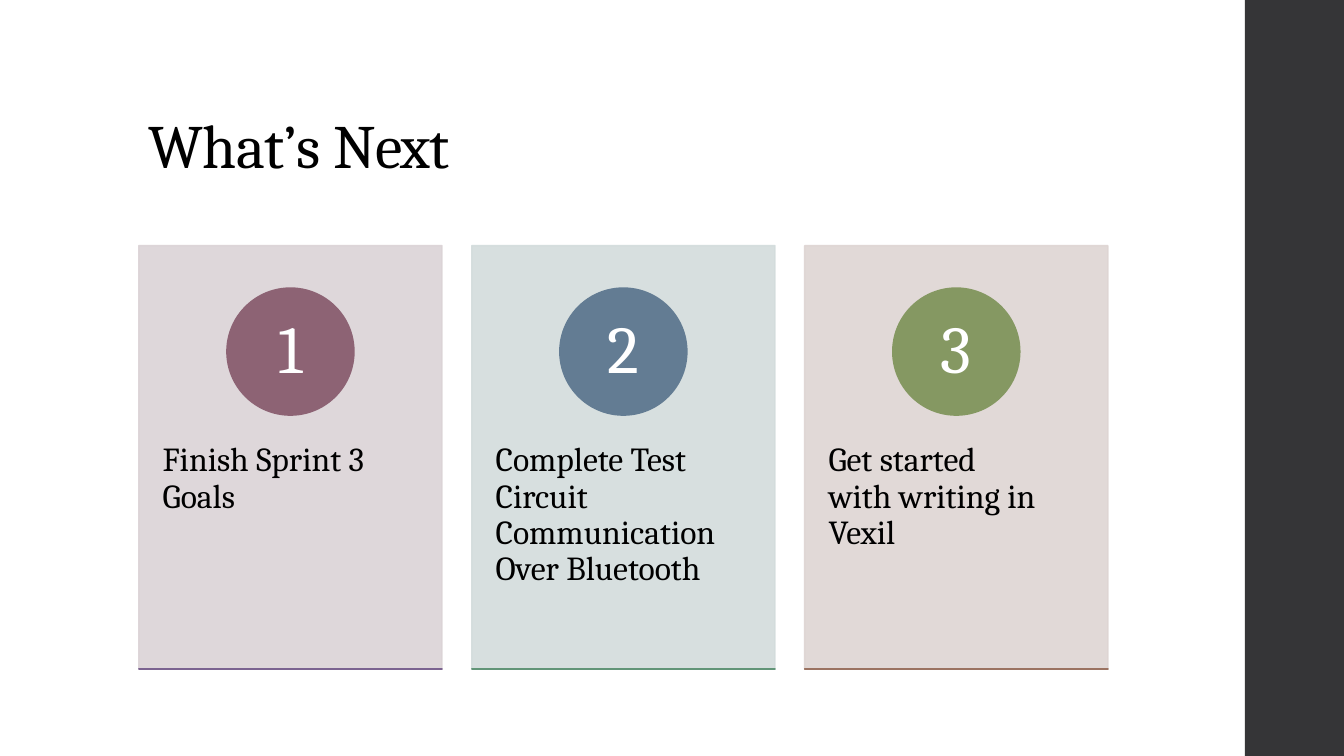
from lxml.etree import SubElement
from pptx import Presentation
from pptx.dml.color import RGBColor
from pptx.enum.shapes import MSO_SHAPE as Shape
from pptx.enum.text import MSO_ANCHOR as Anchor, PP_ALIGN as Align
from pptx.oxml.ns import qn
from pptx.util import Cm, Pt

SLIDE_WIDTH, SLIDE_HEIGHT = 33.87, 19.05
FONT = "Cambria"
LINE_WIDTH = 1.1
HARD_SPACE = chr(160)
CARD_LEFT, CARD_TOP, CARD_WIDTH, CARD_HEIGHT = 3.5, 6.19, 7.64, 10.67
CARD_PITCH = 8.39
STEPS = [
    ("Finish Sprint 3 Goals", "DBD3D6", "8D6374", "7B6390"),
    ("Complete Test Circuit Communication Over Bluetooth", "D3DCDC", "637C93", "629578"),
    (f"Get started with{HARD_SPACE}writing in Vexil", "DED5D3", "859862", "9B7362"),
]


def color(hex_code):
    """Return the colour for a hex string."""
    return RGBColor.from_string(hex_code)


def write(frame, text, size, ink="000000", align=Align.LEFT, anchor=Anchor.TOP,
          insets=(0.25, 0.13), tracking=0):
    """Fill a text frame with one formatted paragraph."""
    frame.word_wrap = True
    frame.vertical_anchor = anchor
    frame.margin_left = frame.margin_right = Cm(insets[0])
    frame.margin_top = frame.margin_bottom = Cm(insets[1])
    paragraph = frame.paragraphs[0]
    paragraph.alignment = align
    paragraph.line_spacing = 0.9
    run = paragraph.add_run()
    run.text = text
    run.font.name = FONT
    run.font.size = Pt(size)
    run.font.color.rgb = color(ink)
    if tracking:
        run.font._element.set("spc", str(round(tracking * 100)))


def add_block(slide, preset, box, fill, opacity=100, outlined=True):
    """Add a preset shape in one colour, with an optional matching outline."""
    block = slide.shapes.add_shape(preset, *map(Cm, box))
    block.shadow.inherit = False
    block.fill.solid()
    block.fill.fore_color.rgb = color(fill)
    if outlined:
        block.line.color.rgb = color(fill)
        block.line.width = Pt(LINE_WIDTH)
    else:
        block.line.fill.background()
    if opacity < 100:
        for tint in block._element.spPr.iter(qn("a:srgbClr")):
            SubElement(tint, qn("a:alpha"), val=str(opacity * 1000))
    return block


def add_title(slide, box, text):
    """Place the slide title at the bottom of its box."""
    title = slide.shapes.add_textbox(*map(Cm, box))
    write(title.text_frame, text, 44, anchor=Anchor.BOTTOM, tracking=-0.5)


def add_card(slide, box, number, step, tint, badge_fill, accent):
    """Place one numbered step card."""
    left, top, width, height = box
    add_block(slide, Shape.RECTANGLE, box, tint, opacity=90)

    label = slide.shapes.add_textbox(Cm(left), Cm(top + 4.06), Cm(width), Cm(6.4))
    write(label.text_frame, step, 24, insets=(0.6, 0.91))

    diameter = 3.2
    badge_box = (left + (width - diameter) / 2, top + 1.07, diameter, diameter)
    badge = add_block(slide, Shape.OVAL, badge_box, badge_fill)
    write(badge.text_frame, str(number), 48, ink="FFFFFF", align=Align.CENTER,
          anchor=Anchor.MIDDLE, insets=(0.25, 0.03))

    add_block(slide, Shape.RECTANGLE, (left, top + height, width, 0), accent)


def main():
    """Build and save the slide."""
    deck = Presentation()
    deck.slide_width, deck.slide_height = Cm(SLIDE_WIDTH), Cm(SLIDE_HEIGHT)
    slide = deck.slides.add_slide(deck.slide_layouts[6])

    add_block(slide, Shape.RECTANGLE, (31.37, 0, 2.5, SLIDE_HEIGHT), "353537", outlined=False)
    add_title(slide, (CARD_LEFT, 1.02, 27.38, 3.68), "What’s Next")
    for index, step in enumerate(STEPS):
        card_box = (CARD_LEFT + index * CARD_PITCH, CARD_TOP, CARD_WIDTH, CARD_HEIGHT)
        add_card(slide, card_box, index + 1, *step)

    deck.save("out.pptx")


if __name__ == "__main__":
    main()
